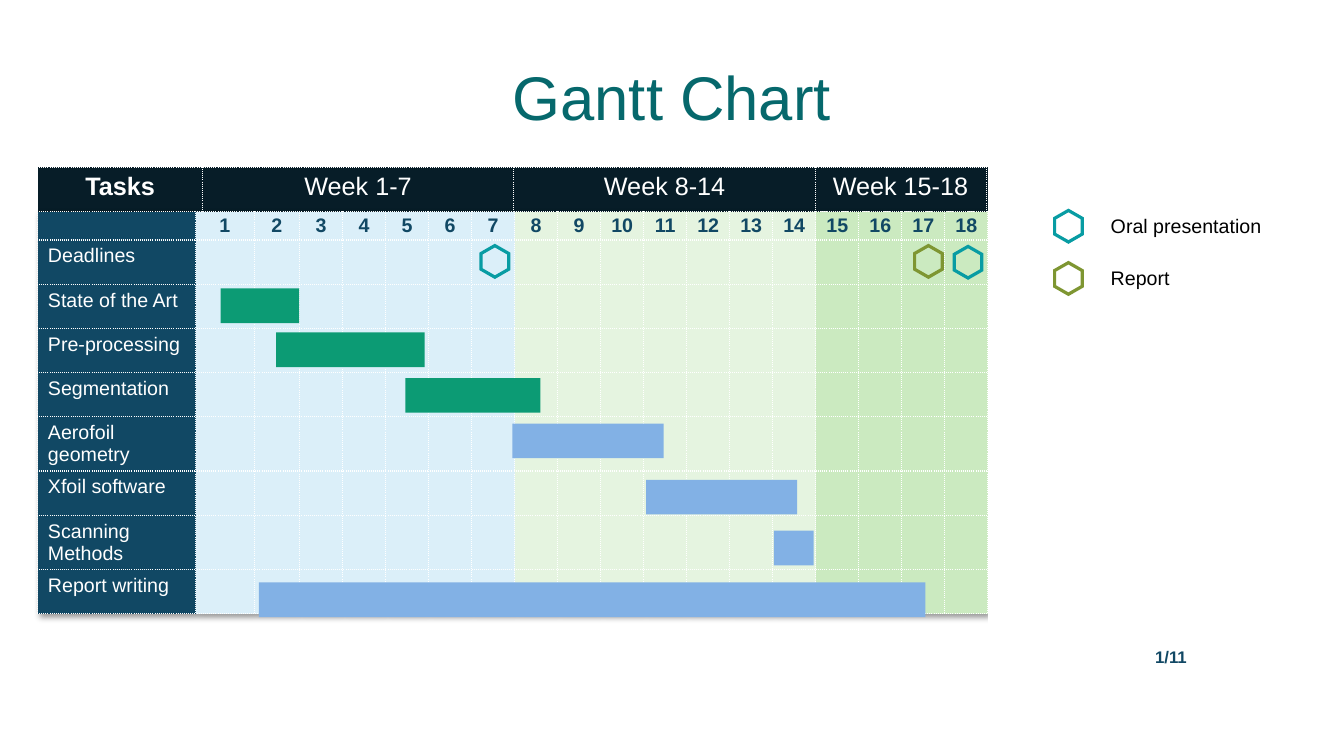
from lxml.etree import SubElement
from pptx import Presentation
from pptx.dml.color import RGBColor
from pptx.enum.shapes import MSO_SHAPE
from pptx.enum.text import MSO_ANCHOR, PP_ALIGN
from pptx.oxml import parse_xml
from pptx.oxml.ns import nsdecls, qn
from pptx.util import Pt

WHITE, BLACK, INK, NAVY = "FFFFFF", "000000", "071D28", "114864"
TEAL, CYAN, OLIVE = "06686C", "089CA3", "7E9632"
GREEN, BLUE = "0C9B74", "82B1E5"
PHASES = ["DBEFF9"] * 7 + ["E5F4E0"] * 7 + ["CBEAC0"] * 4


def rgb(code):
    return RGBColor.from_string(code)


class Deck:
    font = "Arial"

    def __init__(self, width, height):
        self.prs = Presentation()
        self.prs.slide_width, self.prs.slide_height = Pt(width), Pt(height)
        self.s = self.prs.slides.add_slide(self.prs.slide_layouts[5])

    def run(self, tf, text, size, color, bold=False, align=PP_ALIGN.LEFT):
        p = tf.paragraphs[0]
        p.alignment = align
        r = p.add_run()
        r.text = text
        r.font.name, r.font.size, r.font.bold = self.font, Pt(size), bold
        r.font.color.rgb = rgb(color)
        return p

    def title(self, text, x, y, w, h):
        sp = self.s.shapes.title
        sp.left, sp.top, sp.width, sp.height = Pt(x), Pt(y), Pt(w), Pt(h)
        sp.text_frame.vertical_anchor = MSO_ANCHOR.MIDDLE
        p = self.run(sp.text_frame, text, 44, TEAL, align=PP_ALIGN.CENTER)
        p.line_spacing = 0.9

    def text(self, text, x, y, w, h, size, color, bold=False):
        tf = self.s.shapes.add_textbox(Pt(x), Pt(y), Pt(w), Pt(h)).text_frame
        tf.word_wrap = True
        self.run(tf, text, size, color, bold)

    def rect(self, x, y, w, h, fill, line=None):
        sp = self.s.shapes.add_shape(MSO_SHAPE.RECTANGLE, Pt(x), Pt(y), Pt(w), Pt(h))
        self.paint(sp, fill)
        if line:
            sp.line.color.rgb, sp.line.width = rgb(line), Pt(1)

    def paint(self, sp, fill):
        sp.shadow.inherit = False
        sp.fill.solid()
        sp.fill.fore_color.rgb = rgb(fill)
        sp.line.fill.background()

    def hexagon(self, cx, cy, fill):
        def ring(scale):
            a, b = 11 * scale, 12.6 * scale
            corners = [(0, b), (-a, b / 2), (-a, -b / 2), (0, -b), (a, -b / 2), (a, b / 2)]
            return [(Pt(cx + dx), Pt(cy + dy)) for dx, dy in corners]

        outer, inner = ring(1), ring(0.79)[::-1]
        fb = self.s.shapes.build_freeform(*outer[0])
        fb.add_line_segments(outer[1:], close=True)
        fb.move_to(*inner[0])
        fb.add_line_segments(inner[1:], close=True)
        self.paint(fb.convert_to_shape(), fill)

    def table(self, x, y, widths, heights):
        frame = self.s.shapes.add_table(len(heights), len(widths), Pt(x), Pt(y),
                                        Pt(sum(widths)), Pt(sum(heights)))
        tbl = frame.table
        tbl.first_row = tbl.horz_banding = False
        for col, w in zip(tbl.columns, widths):
            col.width = Pt(w)
        for row, h in zip(tbl.rows, heights):
            row.height = Pt(h)
        return tbl

    def cell(self, cell, fill, text="", size=14, color=WHITE, bold=False,
             align=PP_ALIGN.LEFT, tight=False):
        cell.fill.solid()
        cell.fill.fore_color.rgb = rgb(fill)
        cell.margin_left = cell.margin_right = Pt(0 if tight else 7.5)
        cell.margin_top = cell.margin_bottom = Pt(0 if tight else 3.6)
        if tight:
            cell.vertical_anchor = MSO_ANCHOR.MIDDLE
        if text:
            self.run(cell.text_frame, text, size, color, bold, align)
        else:
            end = SubElement(cell.text_frame.paragraphs[0]._p, qn("a:endParaRPr"))
            end.set("sz", str(size * 100))
        # Dotted white borders
        tc_pr = cell._tc.get_or_add_tcPr()
        for i, side in enumerate("LRTB"):
            tc_pr.insert(i, parse_xml(
                f'<a:ln{side} {nsdecls("a")} w="12700"><a:solidFill><a:srgbClr val="{WHITE}"/>'
                f'</a:solidFill><a:prstDash val="sysDot"/></a:ln{side}>'))

    def table_shadow(self, tbl):
        tbl._tbl.tblPr.insert(0, parse_xml(
            f'<a:effectLst {nsdecls("a")}><a:outerShdw blurRad="50800" dist="38100" dir="2700000">'
            f'<a:srgbClr val="{BLACK}"><a:alpha val="40000"/></a:srgbClr>'
            '</a:outerShdw></a:effectLst>'))


d = Deck(960, 540)
d.title("Gantt Chart", 66, 29, 828, 85)

# Phase headers
for x, widths, labels in [
    (562.5, [19.5, 122.5, 21.5], ["", "Week 15-18", ""]),
    (26.8, [118, 222, 216], ["Tasks", "Week 1-7", "Week 8-14"]),
]:
    header = d.table(x, 119.6, widths, [31.6])
    for cell, label in zip(header.rows[0].cells, labels):
        d.cell(cell, INK, label, 18, bold=label == "Tasks", align=PP_ALIGN.CENTER)

# Week grid
tasks = ["Deadlines", "State of the Art", "Pre-processing", "Segmentation",
         "Aerofoil geometry", "Xfoil software", "Scanning Methods", "Report writing"]
grid = d.table(26.8, 151.2, [113, 41.8, 32.4] + [30.74] * 16, [20.2] + [31.6] * len(tasks))
d.table_shadow(grid)
d.cell(grid.cell(0, 0), NAVY, tight=True)
for week, fill in enumerate(PHASES, 1):
    d.cell(grid.cell(0, week), fill, str(week), color=NAVY, bold=True,
           align=PP_ALIGN.CENTER, tight=True)
for row, task in enumerate(tasks, 1):
    d.cell(grid.cell(row, 0), NAVY, task)
    for week, fill in enumerate(PHASES, 1):
        d.cell(grid.cell(row, week), fill)

# White margin at the right edge of the grid
d.rect(706.5, 71.3, 57.6, 417.6, WHITE, WHITE)

# Task bars: left, top, width
for x, y, w, fill in [
    (157.7, 206, 56, GREEN), (197.3, 237.5, 106, GREEN), (289.5, 270, 96.5, GREEN),
    (366, 302.5, 108, BLUE), (461.5, 342.7, 108, BLUE), (552.7, 379, 28.5, BLUE),
    (185, 416, 476, BLUE),
]:
    d.rect(x, y, w, 24.8, fill)

# Deadline markers
for cx, cy, fill in [(353.5, 186.7, CYAN), (691.5, 187.3, CYAN), (663.2, 186.7, OLIVE)]:
    d.hexagon(cx, cy, fill)

# Legend
for i, (label, fill) in enumerate([("Oral presentation", CYAN), ("Report", OLIVE)]):
    y = 149 + 37.3 * i
    d.hexagon(763.2, y + 12.6, fill)
    d.text(label, 786.3, y, 130.3, 24.5, 14, BLACK)

# Page number
d.text("1/11", 818, 458.7, 39, 21.6, 12, NAVY, True)

d.prs.save("out.pptx")
